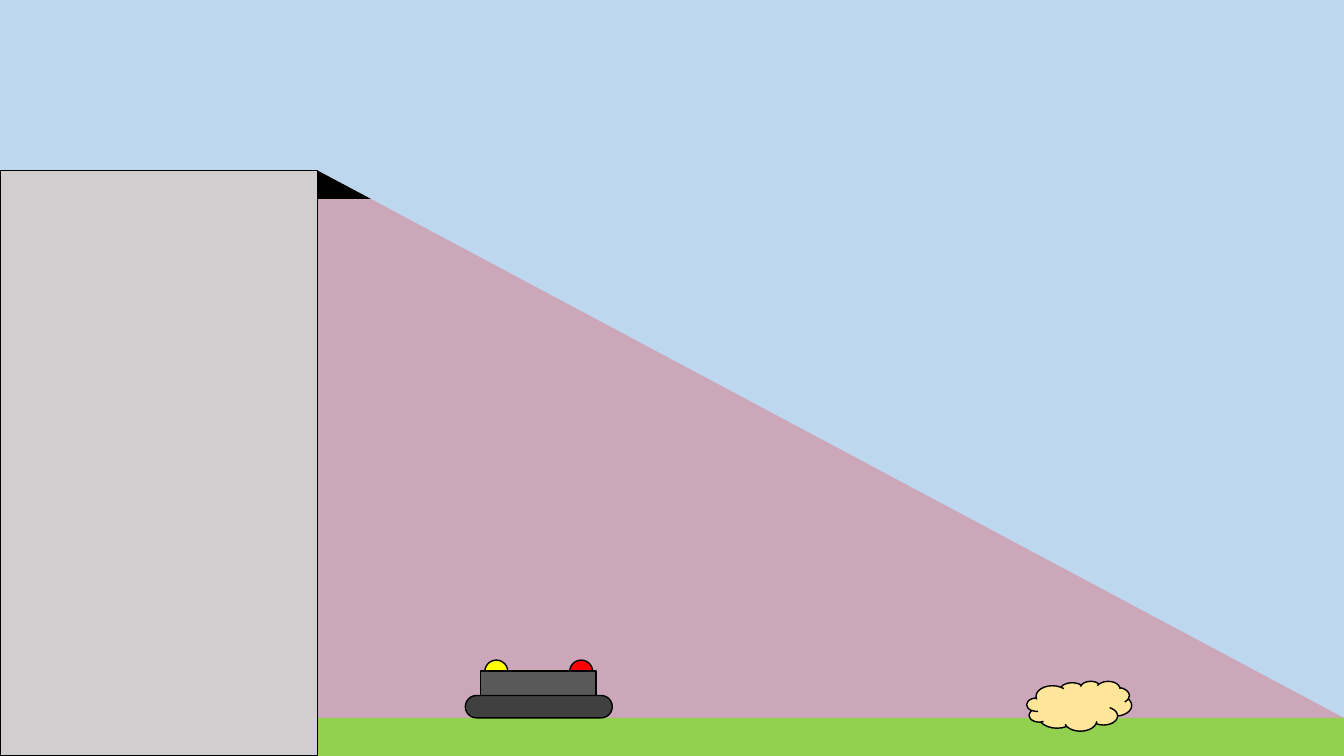
from lxml import etree
from pptx import Presentation
from pptx import util as u
from pptx.dml.color import RGBColor
from pptx.enum import shapes
from pptx.oxml.ns import qn

COLORS = {
    "sky": "BDD7EE", "grass": "92D050", "beam": "FF0000", "black": "000000",
    "yellow": "FFFF00", "red": "FF0000", "body": "595959", "track": "404040",
    "bush": "FFE699", "wall": "D0CECE",
}
KIND = shapes.MSO_SHAPE
WIDTH, HEIGHT = 960, 540
WALL_RIGHT, WALL_TOP, GROUND = 226.8, 121.8, 512.8
FIELD = WIDTH - WALL_RIGHT


def add_part(parent, kind, color, left, top, width, height, outlined=False):
    """Add a filled shape, with a thin black outline if asked; lengths in points."""
    part = parent.add_shape(kind, u.Pt(left), u.Pt(top), u.Pt(width), u.Pt(height))
    part.shadow.inherit = False
    part.fill.solid()
    part.fill.fore_color.rgb = RGBColor.from_string(COLORS[color])
    if outlined:
        part.line.color.rgb = RGBColor.from_string(COLORS["black"])
        part.line.width = u.Pt(1)
    else:
        part.line.fill.background()
    return part


deck = Presentation()
deck.slide_width, deck.slide_height = u.Pt(WIDTH), u.Pt(HEIGHT)
page = deck.slides.add_slide(deck.slide_layouts[6])
scene = page.shapes

# Sky, ground and the translucent beam with its lamp
add_part(scene, KIND.RECTANGLE, "sky", 0, 0, WIDTH, HEIGHT)
add_part(scene, KIND.RECTANGLE, "grass", WALL_RIGHT, GROUND, FIELD, HEIGHT - GROUND)
beam = add_part(scene, KIND.RIGHT_TRIANGLE, "beam",
                WALL_RIGHT, WALL_TOP, FIELD, GROUND - WALL_TOP)
beam_color = beam.fill._xPr.find(qn("a:solidFill"))[0]
etree.SubElement(beam_color, qn("a:alpha"), val="22000")
add_part(scene, KIND.RIGHT_TRIANGLE, "black", WALL_RIGHT, WALL_TOP, 38, 20.2)

# Robot: two lights behind a body on a rounded track
robot = scene.add_group_shape().shapes
for color, left in (("yellow", 346.3), ("red", 406.9)):
    add_part(robot, KIND.OVAL, color, left, 471.5, 16.4, 16.4, True)
add_part(robot, KIND.RECTANGLE, "body", 343.2, 479.3, 82.6, 28, True)
track = add_part(robot, KIND.ROUNDED_RECTANGLE, "track", 332.4, 496.8, 105, 16, True)
track.adjustments[0] = 0.5

# Bush and wall
add_part(scene, KIND.CLOUD, "bush", 733.4, 486.6, 75, 35.6, True)
add_part(scene, KIND.RECTANGLE, "wall", 0, WALL_TOP, WALL_RIGHT, HEIGHT - WALL_TOP, True)

deck.save("out.pptx")
